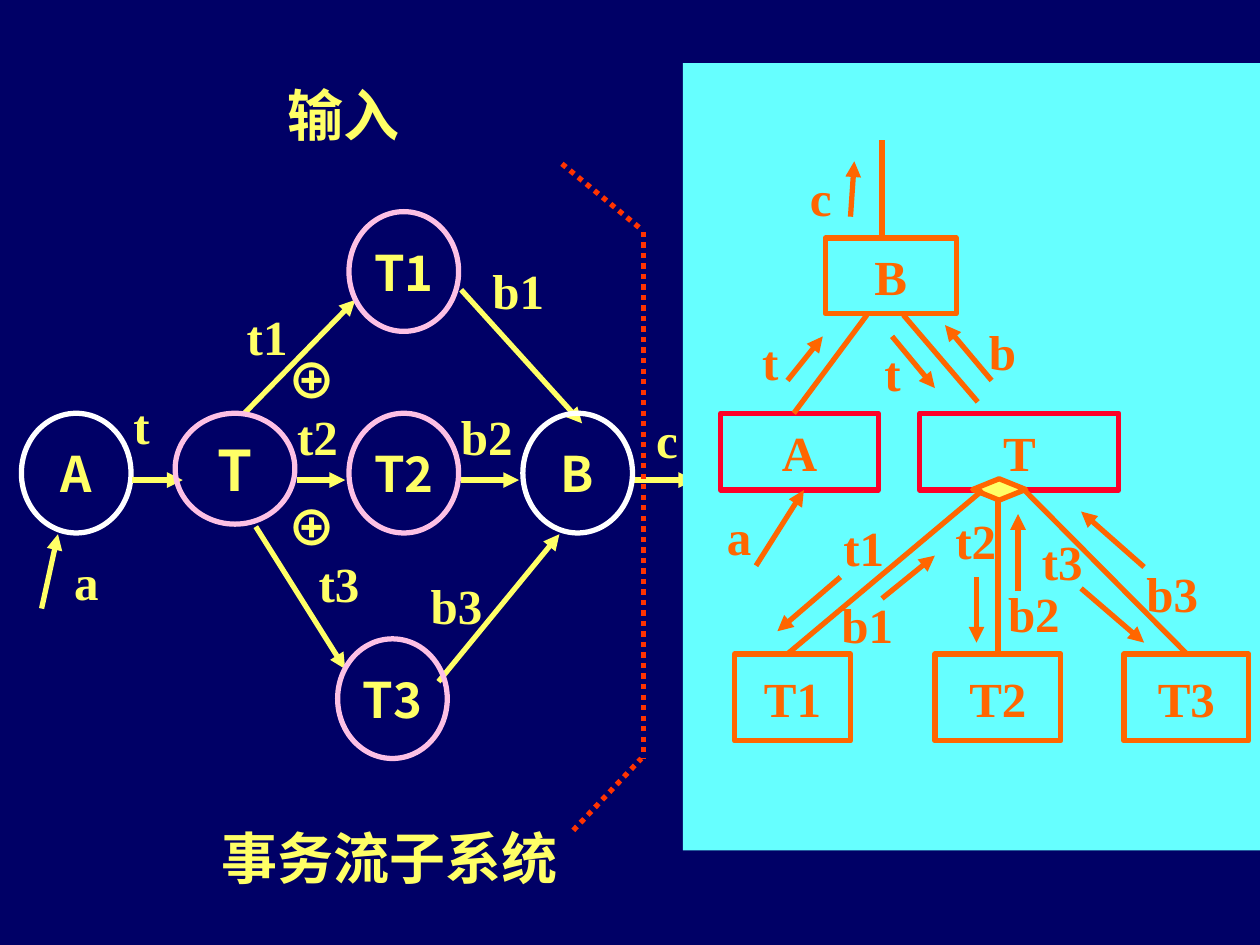
from typing import NamedTuple

from lxml import etree
from pptx import Presentation, util as u
from pptx.dml.color import RGBColor
from pptx.enum import dml, shapes as sh, text
from pptx.oxml.ns import qn

# Grid of 100 columns by 75 rows over a 10 x 7.5 inch slide
COLS, ROWS = 100, 75
WIDTH, HEIGHT = u.Inches(10), u.Inches(7.5)
NAVY, CYAN, YELLOW, WHITE = "000066", "66FFFF", "FFFF66", "FFFFFF"
PINK, ORANGE, RED, DOTTED = "FDC0E5", "FF6600", "FC0128", "FF3300"
SANS, SERIF = "Noto Sans CJK SC", "Times New Roman"
LINE_WIDTH = u.Pt(3)
KIND = sh.MSO_SHAPE


class Node(NamedTuple):
    name: str
    col: float
    row: float
    cols: float
    rows: float
    outline: str
    size: int = 28


class Line(NamedTuple):
    col1: float
    row1: float
    col2: float
    row2: float


class Label(NamedTuple):
    words: str
    col: float
    row: float
    cols: float
    font: str = SERIF
    size: int = 28
    align: text.PP_ALIGN = text.PP_ALIGN.LEFT


def rgb(color: str) -> RGBColor:
    return RGBColor.from_string(color)


def x(cols: float) -> int:
    return round(WIDTH * cols / COLS)


def y(rows: float) -> int:
    return round(HEIGHT * rows / ROWS)


def write(tf, words: str, font: str, size: int, color: str, align) -> None:
    p = tf.paragraphs[0]
    p.text = words
    p.alignment = align
    p.font.name, p.font.size, p.font.bold = font, u.Pt(size), True
    p.font.color.rgb = rgb(color)
    props = p._p.get_or_add_pPr().find(qn("a:defRPr"))
    etree.SubElement(props, qn("a:ea"), typeface=font)


def draw_node(group, node: Node, kind, font: str, color: str, fill: str = "") -> None:
    sp = group.shapes.add_shape(kind, x(node.col), y(node.row), x(node.cols), y(node.rows))
    sp.shadow.inherit = False
    if fill:
        sp.fill.solid()
        sp.fill.fore_color.rgb = rgb(fill)
    else:
        sp.fill.background()
    if node.outline:
        sp.line.color.rgb = rgb(node.outline)
        sp.line.width = LINE_WIDTH
    else:
        sp.line.fill.background()
    if node.name:
        sp.text_frame.word_wrap = False
        sp.text_frame.vertical_anchor = text.MSO_ANCHOR.MIDDLE
        write(sp.text_frame, node.name, font, node.size, color, text.PP_ALIGN.CENTER)


def draw_line(group, line: Line, color: str, arrow: bool = False, dotted: bool = False) -> None:
    cn = group.shapes.add_connector(sh.MSO_CONNECTOR.STRAIGHT, x(line.col1), y(line.row1),
                                    x(line.col2), y(line.row2))
    cn.line.color.rgb = rgb(color)
    cn.line.width = LINE_WIDTH
    if dotted:
        cn.line.dash_style = dml.MSO_LINE.ROUND_DOT
        cn.line._ln.find(qn("a:prstDash")).set("val", "sysDot")
    if arrow:
        etree.SubElement(cn.line._ln, qn("a:tailEnd"), type="triangle")
    etree.SubElement(cn._element.spPr, qn("a:effectLst"))


def draw_label(group, label: Label, color: str) -> None:
    rows = label.size / 5
    sp = group.shapes.add_textbox(x(label.col), y(label.row), x(label.cols), y(rows))
    tf = sp.text_frame
    tf.word_wrap = True
    tf.auto_size = text.MSO_AUTO_SIZE.SHAPE_TO_FIT_TEXT
    write(tf, label.words, label.font, label.size, color, label.align)


# Data flow diagram
CIRCLE = (8.7, 9.5)
FLOW_A = Node("A", 1.7, 32.8, *CIRCLE, WHITE)
FLOW_NODES = [
    Node("T", 13.9, 32.8, 9.5, 8.8, PINK, 32),
    Node("T1", 27.7, 16.8, *CIRCLE, PINK),
    Node("T2", 27.7, 32.8, *CIRCLE, PINK),
    Node("T3", 26.8, 50.7, *CIRCLE, PINK),
    Node("B", 41.5, 32.8, *CIRCLE, WHITE),
]
FLOW_ARROWS = [
    Line(10.5, 38.1, 14.5, 38.1), Line(3.3, 48.3, 4.6, 42.4),
    Line(19.4, 32.8, 28.2, 23.8), Line(20.3, 41.8, 27.4, 53.1),
    Line(36.6, 38.1, 41.2, 38.1), Line(50.3, 38.1, 55.1, 38.1),
    Line(23.6, 38.1, 27.4, 38.1), Line(36.6, 23, 46.2, 33.6),
    Line(34.8, 54.1, 44.4, 42.4),
]
BOUNDARY = [
    Line(51.1, 18.4, 51.1, 60.2), Line(44.6, 13, 50.9, 18.2), Line(45.5, 65.9, 50.9, 60.2),
]
FLOW_LABELS = [
    Label("输入", 21.8, 5.9, 11.4, SANS, 32),
    Label("a", 4.9, 43.3, 5.2), Label("t", 9.6, 30.9, 5.2),
    Label("t1", 18.6, 23.8, 8.1), Label("t2", 22.6, 31.8, 8.9), Label("t3", 24.3, 43.4, 8.9),
    Label("b1", 38.1, 20.2, 8.3), Label("b2", 35.6, 31.8, 7.3), Label("b3", 33.2, 45.2, 8.1),
    Label("c", 51.1, 32, 6.5),
    Label("⊕", 21.8, 27.3, 5.7, SANS), Label("⊕", 21.8, 39, 5.7, SANS),
    Label("事务流子系统", 13.9, 64.9, 34.1, SANS, 32, text.PP_ALIGN.CENTER),
]

# Structure chart
PANEL = Node("", 54.2, 5, 45.8, 62.5, "")
DIAMOND = Node("", 77.2, 38, 4.2, 1.7, ORANGE)
MODULES = [
    Node("B", 65.5, 18.9, 10.4, 6, ORANGE),
    Node("A", 57.2, 32.8, 12.5, 6.1, RED),
    Node("T", 73, 32.8, 15.8, 6.1, RED),
    Node("T1", 58.3, 51.9, 9.2, 6.9, ORANGE),
    Node("T2", 74.2, 51.9, 10, 6.9, ORANGE),
    Node("T3", 89.2, 51.9, 9.9, 6.9, ORANGE),
]
CALLS = [
    Line(70, 18.9, 70, 11.1), Line(63, 32.8, 68.8, 25), Line(71.7, 25, 77.6, 31.9),
    Line(78, 38.9, 62.5, 51.9), Line(79.2, 39.7, 79.2, 51.9), Line(81.3, 38.9, 94.2, 51.9),
]
DATA_ARROWS = [
    Line(67.5, 17.2, 67.8, 12.8), Line(62.5, 30.2, 65.3, 26.7),
    Line(70.8, 26.7, 74.2, 30.8), Line(78.7, 30.2, 75, 25.8),
    Line(60, 44.9, 63.8, 38.9), Line(66.7, 45.8, 61.7, 50.1),
    Line(70, 47.5, 74.2, 44.1), Line(77.5, 45.8, 77.5, 51),
    Line(80.8, 46.9, 80.8, 40.8), Line(85.8, 46.7, 90.8, 51),
    Line(90.8, 45, 85.8, 40.6),
]
MODULE_LABELS = [
    Label("c", 63.3, 12.8, 4.8), Label("t", 59.5, 25.8, 4.6), Label("t", 69.2, 26.7, 5.4),
    Label("b", 77.5, 25, 5.8), Label("a", 56.7, 39.7, 5),
    Label("t1", 64.2, 40.6, 8.7, align=text.PP_ALIGN.CENTER),
    Label("t2", 73.3, 40, 8.3, align=text.PP_ALIGN.CENTER),
    Label("t3", 81.7, 41.7, 6.7),
    Label("b1", 65.8, 46.7, 6.7),
    Label("b2", 78.3, 45.8, 7.5, align=text.PP_ALIGN.CENTER),
    Label("b3", 90, 44.2, 7.5),
]


def draw_flow(group) -> None:
    draw_node(group, FLOW_A, KIND.OVAL, SANS, YELLOW, NAVY)
    for line in FLOW_ARROWS:
        draw_line(group, line, YELLOW, arrow=True)
    for line in BOUNDARY:
        draw_line(group, line, DOTTED, dotted=True)
    for node in FLOW_NODES:
        draw_node(group, node, KIND.OVAL, SANS, YELLOW)
    for label in FLOW_LABELS:
        draw_label(group, label, YELLOW)


def draw_structure(group) -> None:
    draw_node(group, PANEL, KIND.RECTANGLE, SERIF, ORANGE, CYAN)
    for node in MODULES:
        draw_node(group, node, KIND.RECTANGLE, SERIF, ORANGE)
    draw_node(group, DIAMOND, KIND.DIAMOND, SERIF, ORANGE, YELLOW)
    for line in CALLS:
        draw_line(group, line, ORANGE)
    for line in DATA_ARROWS:
        draw_line(group, line, ORANGE, arrow=True)
    for label in MODULE_LABELS:
        draw_label(group, label, ORANGE)


def main() -> None:
    prs = Presentation()
    prs.slide_width, prs.slide_height = WIDTH, HEIGHT
    s = prs.slides.add_slide(prs.slide_layouts[6])
    s.background.fill.solid()
    s.background.fill.fore_color.rgb = rgb(NAVY)
    draw_flow(s.shapes.add_group_shape())
    draw_structure(s.shapes.add_group_shape())
    prs.save("out.pptx")


if __name__ == "__main__":
    main()
